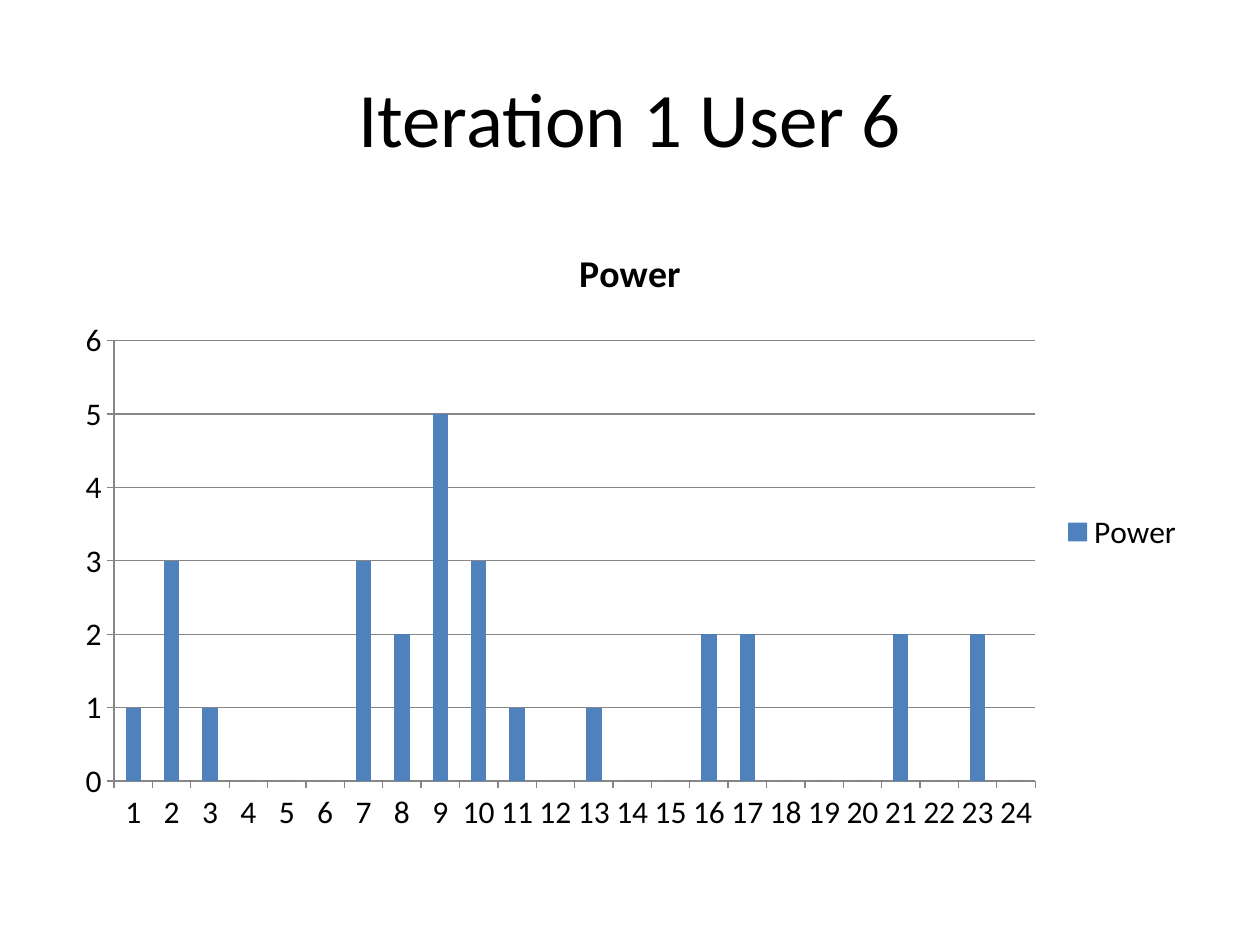
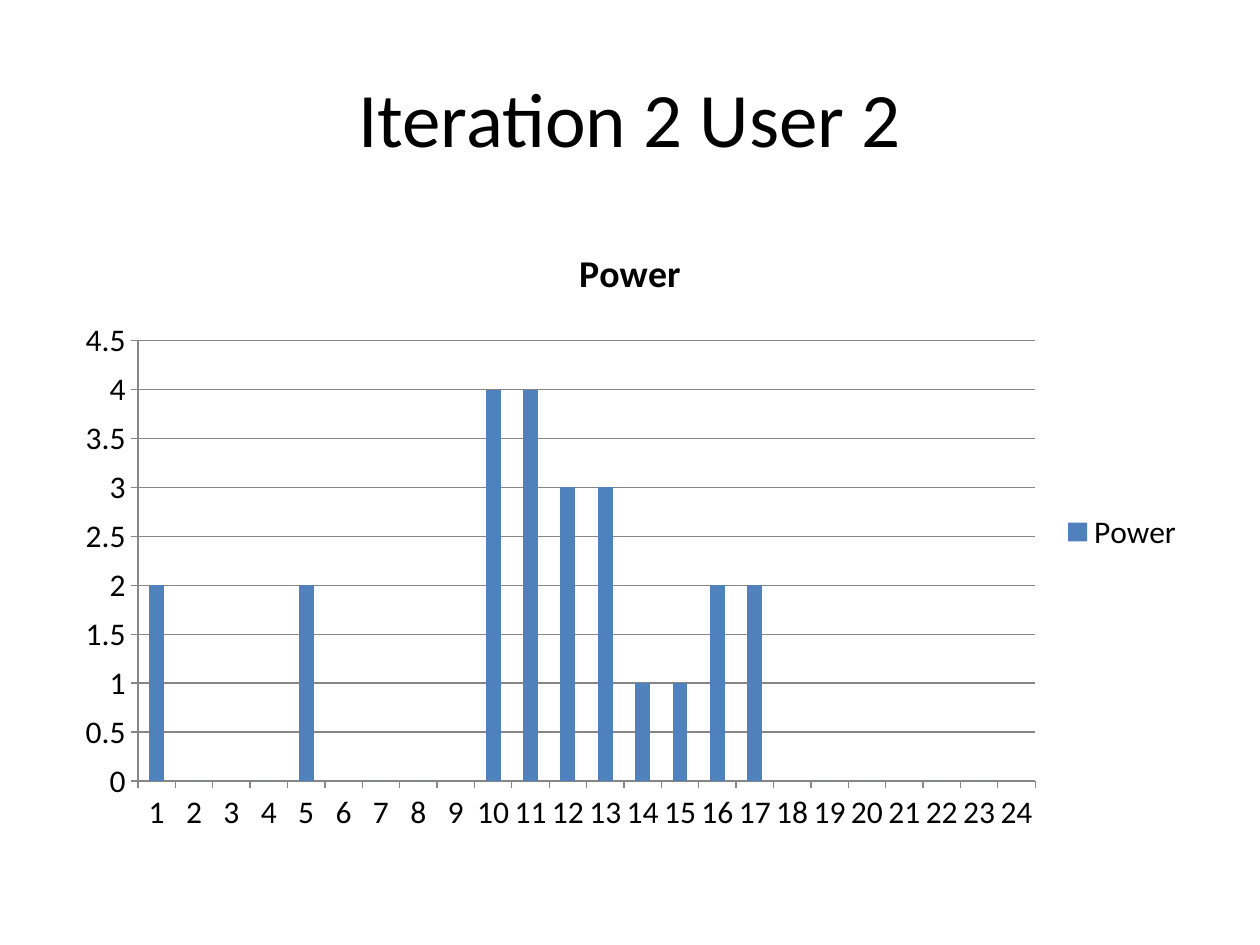
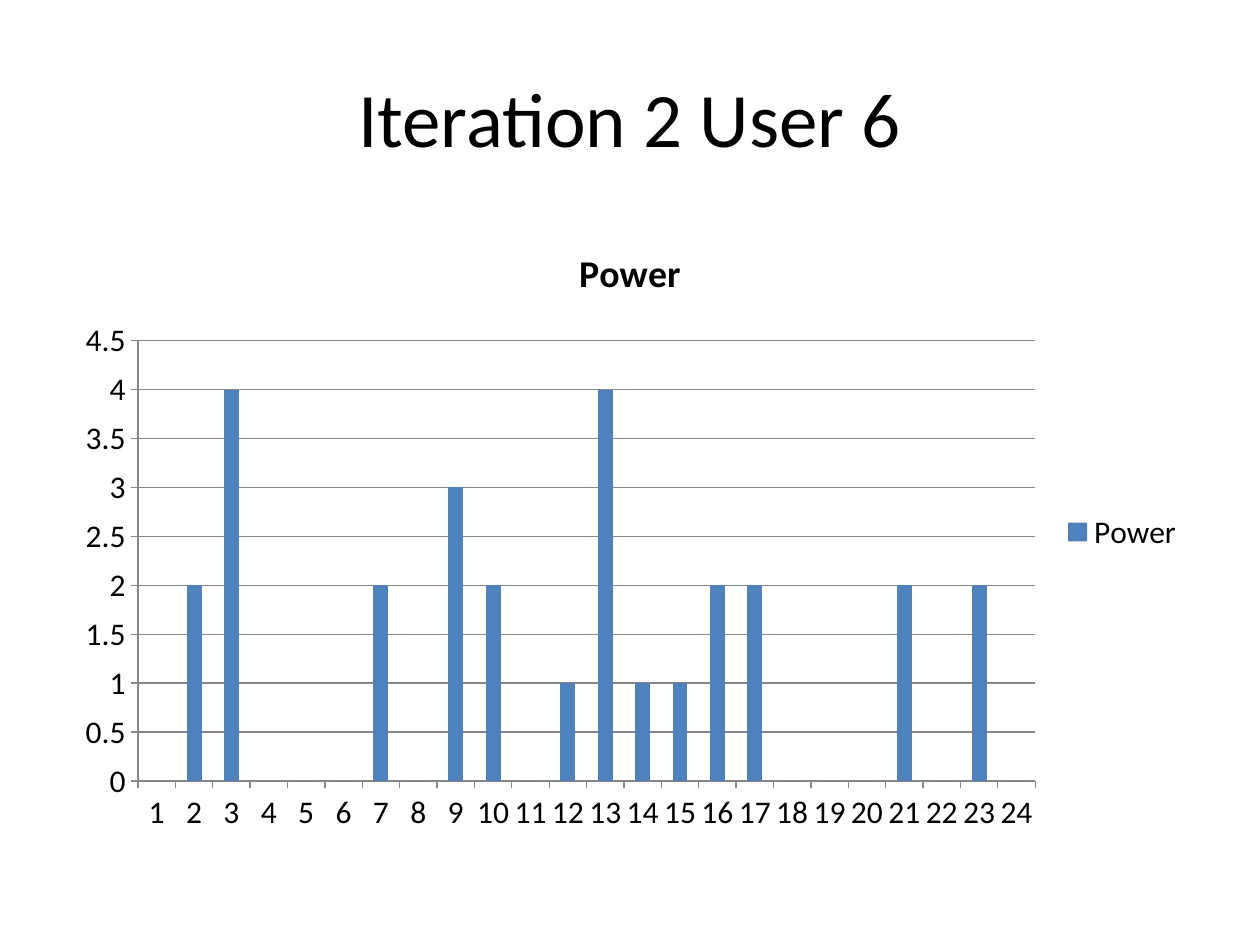
from pptx import Presentation
from pptx.chart.data import CategoryChartData
from pptx.dml.color import RGBColor
from pptx.enum.chart import XL_CHART_TYPE, XL_LEGEND_POSITION, XL_TICK_MARK
from pptx.enum.text import MSO_ANCHOR, PP_ALIGN
from pptx.util import Emu, Pt

# Content: title, axis maximum, axis step, power for each hour
SLIDES = [
    ("Iteration 1 User 6", 6, 1,
     [1, 3, 1, 0, 0, 0, 3, 2, 5, 3, 1, 0, 1, 0, 0, 2, 2, 0, 0, 0, 2, 0, 2, 0]),
    ("Iteration 2 User 2", 4.5, 0.5,
     [2, 0, 0, 0, 2, 0, 0, 0, 0, 4, 4, 3, 3, 1, 1, 2, 2, 0, 0, 0, 0, 0, 0, 0]),
    ("Iteration 2 User 6", 4.5, 0.5,
     [0, 2, 4, 0, 0, 0, 2, 0, 3, 2, 0, 1, 4, 1, 1, 2, 2, 0, 0, 0, 2, 0, 2, 0]),
]
SERIES_NAME = "Power"

# Shared look
FONT = "Calibri"
BLACK = RGBColor(0x00, 0x00, 0x00)
WHITE = RGBColor(0xFF, 0xFF, 0xFF)
BLUE = RGBColor(0x4F, 0x81, 0xBD)
GRAY = RGBColor(0x86, 0x86, 0x86)

# Layout in pixels, 126 to the inch
PAGE_WIDTH, PAGE_HEIGHT = 1260, 945
MARGIN = 63
CONTENT_WIDTH = PAGE_WIDTH - 2 * MARGIN
TITLE_TOP, TITLE_HEIGHT = 38, 157
CHART_TOP, CHART_HEIGHT = 220, 624


def px(pixels):
    """Turn pixels into EMU."""
    return Emu(round(pixels * 914400 / 126))


def set_font(font, size, bold=False):
    """Apply the shared typeface and colour at the given size."""
    font.name = FONT
    font.size = Pt(size)
    font.bold = bold
    font.color.rgb = BLACK


def add_text(page, text, left, top, width, height, size=44,
             align=PP_ALIGN.CENTER, anchor=MSO_ANCHOR.MIDDLE):
    """Add a wrapped text box with one formatted paragraph."""
    box = page.shapes.add_textbox(px(left), px(top), px(width), px(height))
    frame = box.text_frame
    frame.word_wrap = True
    frame.vertical_anchor = anchor
    paragraph = frame.paragraphs[0]
    paragraph.alignment = align
    span = paragraph.add_run()
    span.text = text
    set_font(span.font, size)


def style_axis(axis):
    """Give an axis a gray line with outward ticks."""
    axis.major_tick_mark = XL_TICK_MARK.OUTSIDE
    axis.minor_tick_mark = XL_TICK_MARK.NONE
    axis.format.line.color.rgb = GRAY
    axis.format.line.width = Pt(0.75)
    set_font(axis.tick_labels.font, 18)


def add_power_chart(page, values, maximum, step):
    """Add the column chart of power by hour."""
    data = CategoryChartData()
    data.categories = [str(hour) for hour in range(1, len(values) + 1)]
    data.add_series(SERIES_NAME, values)
    chart = page.shapes.add_chart(
        XL_CHART_TYPE.COLUMN_CLUSTERED, px(MARGIN), px(CHART_TOP),
        px(CONTENT_WIDTH), px(CHART_HEIGHT), data).chart
    set_font(chart.font, 18)

    chart.has_title = True
    title = chart.chart_title
    title.include_in_layout = False
    title.text_frame.text = SERIES_NAME
    set_font(title.text_frame.paragraphs[0].runs[0].font, 21.6, bold=True)

    chart.has_legend = True
    chart.legend.position = XL_LEGEND_POSITION.RIGHT
    chart.legend.include_in_layout = False
    set_font(chart.legend.font, 18)

    plot = chart.plots[0]
    plot.gap_width = 150
    plot.vary_by_categories = False
    fill = plot.series[0].format.fill
    fill.solid()
    fill.fore_color.rgb = BLUE

    style_axis(chart.category_axis)
    value_axis = chart.value_axis
    style_axis(value_axis)
    value_axis.minimum_scale = 0
    value_axis.maximum_scale = maximum
    value_axis.major_unit = step
    value_axis.has_major_gridlines = True
    grid_line = value_axis.major_gridlines.format.line
    grid_line.color.rgb = GRAY
    grid_line.width = Pt(0.75)


deck = Presentation()
deck.slide_width, deck.slide_height = px(PAGE_WIDTH), px(PAGE_HEIGHT)
for heading, maximum, step, values in SLIDES:
    page = deck.slides.add_slide(deck.slide_layouts[6])
    page.background.fill.solid()
    page.background.fill.fore_color.rgb = WHITE
    add_text(page, heading, MARGIN, TITLE_TOP, CONTENT_WIDTH, TITLE_HEIGHT)
    add_power_chart(page, values, maximum, step)
deck.save("out.pptx")
